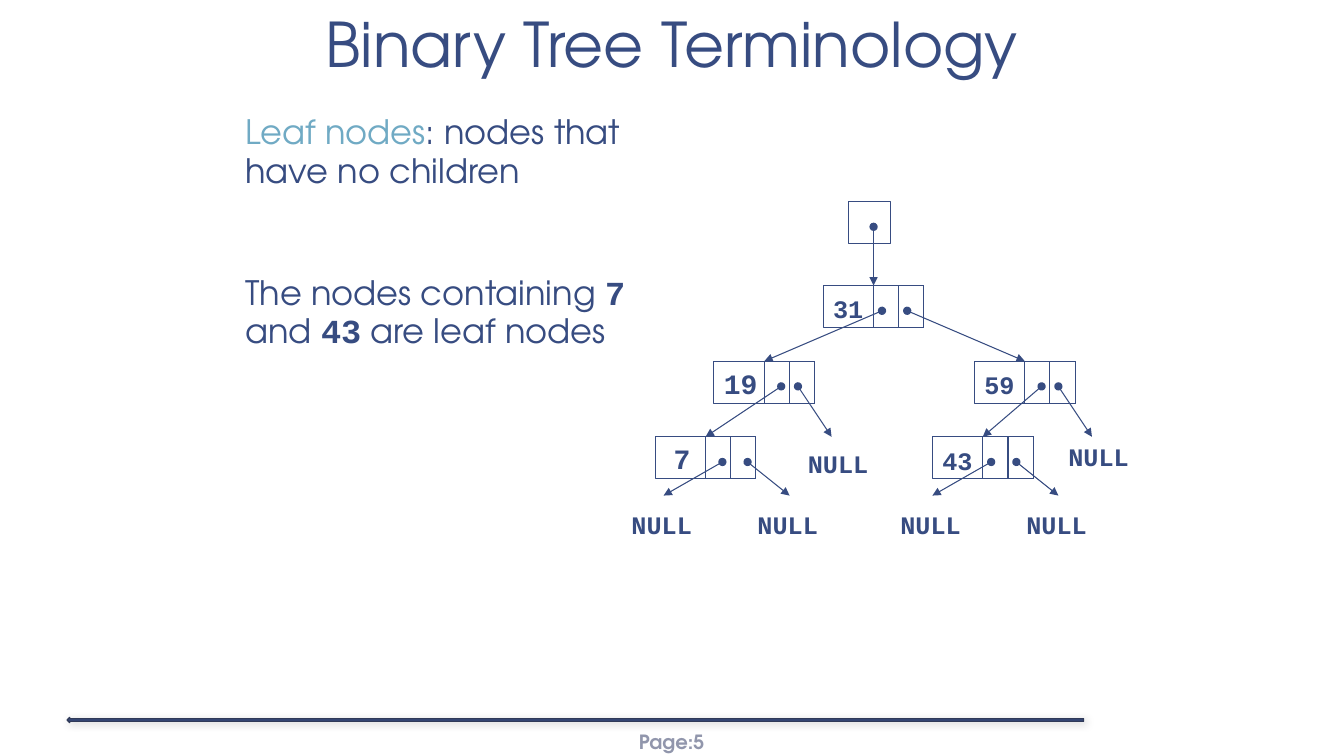
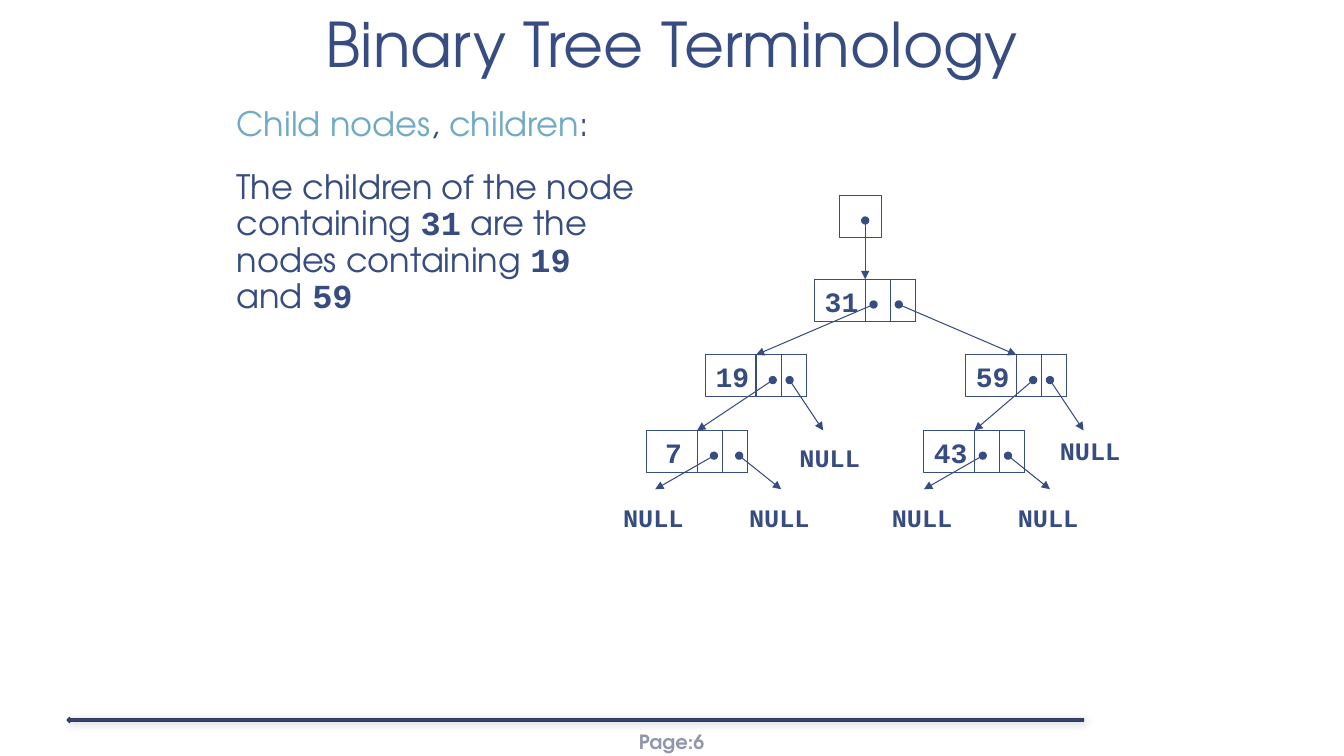
"""Build two slides on binary tree terminology."""
from dataclasses import dataclass

from lxml.etree import SubElement
from pptx import Presentation
from pptx.dml.color import RGBColor
from pptx.enum.shapes import MSO_CONNECTOR, MSO_SHAPE
from pptx.enum.text import MSO_ANCHOR, MSO_AUTO_SIZE, PP_ALIGN
from pptx.oxml.ns import qn
from pptx.util import Pt


@dataclass(frozen=True)
class Theme:
    """Colours, fonts and type sizes of the deck."""

    ink: RGBColor = RGBColor.from_string("374C81")
    accent: RGBColor = RGBColor.from_string("70AAC4")
    footer: RGBColor = RGBColor.from_string("9196AC")
    band_edge: RGBColor = RGBColor.from_string("303A58")
    sans: str = "TeX Gyre Adventor"
    mono: str = "Courier New"
    title_size: float = 44
    body_size: float = 24
    value_size: float = 20
    label_size: float = 18
    footer_size: float = 14
    hairline: float = 0.75


@dataclass(frozen=True)
class Node:
    """A tree node: place, pointer starts, and arrow ends, all in points."""

    value: str
    left: float
    top: float
    arrows: tuple
    nulls: tuple = ()
    inset: float = 0


THEME = Theme()
TITLE = "Binary Tree Terminology"
NODE_WIDTH, NODE_HEIGHT, CELL_WIDTH = 72, 30, 18
CELL_LEFTS = (36, 54)
POINTER_DROP = 18

NODES = (
    Node("31", 0, 0, ((42, -42, 54), (60, 144, 54))),
    Node("59", 108, 54, ((48, 6, 54), (60, 84, 54)), ((60, 54),)),
    Node("19", -78, 54, ((48, -6, 54), (60, 84, 54)), ((60, 59),)),
    Node("7", -120, 108, ((48, 6, 42), (66, 96, 42)), ((-24, 48), (66, 48)), 6),
    Node("43", 78, 108, ((42, 0, 42), (60, 90, 42)), ((-30, 48), (60, 48))),
)

STYLES = {
    "plain": {"name": THEME.sans, "color": THEME.ink, "bold": False},
    "term": {"name": THEME.sans, "color": THEME.accent, "bold": False},
    "code": {"name": THEME.mono, "color": THEME.ink, "bold": True},
    "footer": {"name": THEME.sans, "color": THEME.footer, "bold": True},
}

SLIDES = (
    {
        "page": "Page:5",
        "body_at": (144, 78),
        "line_spacing": 0.95,
        "space_before": 60,
        "paragraphs": (
            (("Leaf nodes", "term"), (": nodes that have no children", "plain")),
            (("The nodes containing ", "plain"), ("7", "code"), (" and ", "plain"),
             ("43", "code"), (" are leaf nodes", "plain")),
        ),
        "tree_at": (588, 204),
        "small_values": ("31", "43", "59"),
    },
    {
        "page": "Page:6",
        "body_at": (137.75, 73.5),
        "line_spacing": 0.9,
        "space_before": 18.7,
        "paragraphs": (
            (("Child nodes", "term"), (", ", "plain"), ("children", "term"), (":", "plain")),
            (("The children of the node containing ", "plain"), ("31", "code"),
             (" are the nodes containing ", "plain"), ("19", "code"),
             (" and ", "plain"), ("59", "code")),
        ),
        "tree_at": (582, 199.5),
        "small_values": (),
    },
)


def set_values(target, values):
    """Set each named attribute of the target."""
    for name, value in values.items():
        setattr(target, name, value)


def place(shape, left, top, width, height):
    """Place a shape, with all lengths in points."""
    set_values(shape, {"left": Pt(left), "top": Pt(top),
                       "width": Pt(width), "height": Pt(height)})


def add_run(paragraph, text, style, size):
    """Add a run of text in a named style."""
    run = paragraph.add_run()
    run.text = text
    values = dict(STYLES[style], size=Pt(size))
    run.font.color.rgb = values.pop("color")
    set_values(run.font, values)


def set_margins(frame, side, edge):
    """Set the side margins and the top and bottom margins of a text frame."""
    set_values(frame, {"margin_left": Pt(side), "margin_right": Pt(side),
                       "margin_top": Pt(edge), "margin_bottom": Pt(edge)})


def set_line(shape, color, width):
    """Colour the line of a shape and set its width."""
    shape.line.color.rgb = color
    shape.line.width = Pt(width)


def add_label(slide, text, left, top, size):
    """Add an unwrapped code label whose box fits its text."""
    width, height = 0.6 * size * len(text) + 14.4, 1.2 * size + 7.2
    box = slide.shapes.add_textbox(Pt(left), Pt(top), Pt(width), Pt(height))
    set_values(box.text_frame, {"word_wrap": False,
                                "auto_size": MSO_AUTO_SIZE.SHAPE_TO_FIT_TEXT})
    add_run(box.text_frame.paragraphs[0], text, "code", size)


def add_box(slide, left, top, width):
    """Add an outlined box of node height."""
    box = slide.shapes.add_shape(MSO_SHAPE.RECTANGLE, Pt(left), Pt(top),
                                 Pt(width), Pt(NODE_HEIGHT))
    box.shadow.inherit = False
    box.fill.background()
    set_line(box, THEME.ink, THEME.hairline)


def add_pointer(slide, start, end):
    """Add an arrow with a dot at its start."""
    points = [Pt(value) for value in (*start, *end)]
    connector = slide.shapes.add_connector(MSO_CONNECTOR.STRAIGHT, *points)
    set_line(connector, THEME.ink, THEME.hairline)
    properties = connector.element.spPr
    line = properties.find(qn("a:ln"))
    for tag, kind in (("a:headEnd", "oval"), ("a:tailEnd", "triangle")):
        SubElement(line, qn(tag), type=kind)
    SubElement(properties, qn("a:effectLst"))


def add_node(slide, node, origin, small):
    """Add a node with its cells, value, pointers and NULL labels."""
    left, top = origin[0] + node.left, origin[1] + node.top
    add_box(slide, left, top, NODE_WIDTH)
    for cell_left in CELL_LEFTS:
        add_box(slide, left + cell_left, top, CELL_WIDTH)
    size, drop = (THEME.label_size, 2.25) if small else (THEME.value_size, 0)
    add_label(slide, node.value, left + node.inset, top + drop, size)
    for start, end, fall in node.arrows:
        add_pointer(slide, (left + start, top + POINTER_DROP), (left + end, top + fall))
    for null_left, null_top in node.nulls:
        add_label(slide, "NULL", left + null_left, top + null_top, THEME.label_size)


def add_tree(slide, origin, small_values):
    """Add the tree below its root pointer."""
    left, top = origin
    add_box(slide, left + 18, top - 60, 30)
    add_pointer(slide, (left + 36, top - 42), (left + 36, top))
    for node in NODES:
        add_node(slide, node, origin, node.value in small_values)


def fill_title(slide):
    """Write the title in its placeholder."""
    title = slide.shapes.title
    place(title, 0, 0, 960, 62)
    frame = title.text_frame
    set_values(frame, {"vertical_anchor": MSO_ANCHOR.BOTTOM, "word_wrap": True,
                       "auto_size": MSO_AUTO_SIZE.NONE})
    set_margins(frame, 9.6, 4.8)
    paragraph = frame.paragraphs[0]
    set_values(paragraph, {"alignment": PP_ALIGN.CENTER, "line_spacing": 0.85})
    add_run(paragraph, TITLE, "plain", THEME.title_size)


def fill_body(slide, content):
    """Write the definition in the body placeholder."""
    body = slide.placeholders[1]
    place(body, *content["body_at"], 327, 360)
    frame = body.text_frame
    set_values(frame, {"auto_size": MSO_AUTO_SIZE.NONE, "word_wrap": True,
                       "vertical_anchor": MSO_ANCHOR.TOP})
    for index, runs in enumerate(content["paragraphs"]):
        paragraph = frame.add_paragraph() if index else frame.paragraphs[0]
        set_values(paragraph, {
            "line_spacing": content["line_spacing"],
            "space_before": Pt(content["space_before"] if index else 0),
            "space_after": Pt(0),
        })
        properties = paragraph._p.get_or_add_pPr()
        properties.set("marL", str(int(Pt(24))))
        properties.set("indent", "0")
        SubElement(properties, qn("a:buNone"))
        for text, style in runs:
            add_run(paragraph, text, style, THEME.body_size)


def add_page_label(slide, text):
    """Add the page label at the foot of the slide."""
    box = slide.shapes.add_textbox(Pt(416), Pt(515.5), Pt(127.5), Pt(28.8))
    frame = box.text_frame
    set_values(frame, {"word_wrap": True, "vertical_anchor": MSO_ANCHOR.MIDDLE})
    set_margins(frame, 2.9, 1.4)
    paragraph = frame.paragraphs[0]
    paragraph.alignment = PP_ALIGN.CENTER
    add_run(paragraph, text, "footer", THEME.footer_size)


def move_band_to_layout(slide, layout):
    """Draw the footer band and move it to the shared layout."""
    band = slide.shapes.add_shape(MSO_SHAPE.LEFT_ARROW, Pt(48), Pt(512.5), Pt(726), Pt(3.6))
    band.fill.solid()
    band.fill.fore_color.rgb = THEME.ink
    set_line(band, THEME.band_edge, 1)
    band.shadow.inherit = False
    effects = band.element.spPr.find(qn("a:effectLst"))
    shadow = SubElement(effects, qn("a:outerShdw"), blurRad=str(int(Pt(6))),
                        dist=str(int(Pt(1))), dir="2700000")
    color = SubElement(shadow, qn("a:srgbClr"), val="000000")
    SubElement(color, qn("a:alpha"), val="20000")
    layout.shapes.element.append(band.element)


def main():
    """Build and save the presentation."""
    presentation = Presentation()
    set_values(presentation, {"slide_width": Pt(960), "slide_height": Pt(540)})
    layout = presentation.slide_layouts[1]
    for index, content in enumerate(SLIDES):
        slide = presentation.slides.add_slide(layout)
        if index == 0:
            move_band_to_layout(slide, layout)
        add_page_label(slide, content["page"])
        fill_title(slide)
        fill_body(slide, content)
        add_tree(slide, content["tree_at"], content["small_values"])
    presentation.save("out.pptx")


if __name__ == "__main__":
    main()
